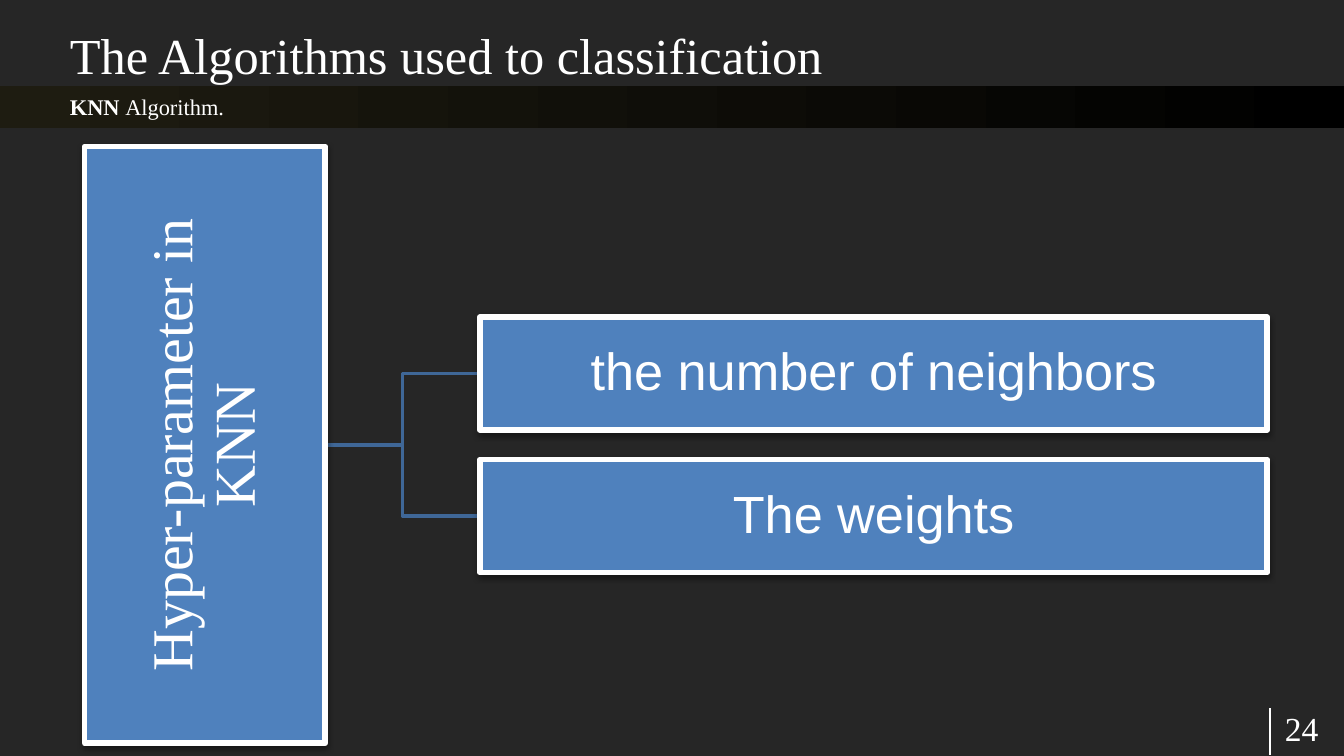
from dataclasses import dataclass

from lxml import etree
from pptx import Presentation
from pptx.dml.color import RGBColor
from pptx.enum.shapes import MSO_CONNECTOR as Connector, MSO_SHAPE as Shape
from pptx.enum.text import MSO_ANCHOR as Anchor, MSO_AUTO_SIZE as AutoSize, PP_ALIGN as Align
from pptx.oxml.ns import qn
from pptx.slide import Slide
from pptx.util import Inches, Pt


def color(value):
    return RGBColor.from_string(value)


@dataclass
class Deck:
    slide: Slide
    serif: str = "Times New Roman"
    sans: str = "Arial"
    background: str = "262626"
    light: str = "FFFFFF"
    box_fill: str = "4F81BD"
    branch: str = "3F6797"

    def paint_background(self):
        fill = self.slide.background.fill
        fill.solid()
        fill.fore_color.rgb = color(self.background)

    def style(self, paragraph, size, face, align=Align.LEFT):
        paragraph.alignment = align
        paragraph.font.size = Pt(size)
        paragraph.font.name = face
        paragraph.font.color.rgb = color(self.light)

    def frame(self, shape, anchor, side=0.09, edge=0.04):
        frame = shape.text_frame
        frame.word_wrap = True
        frame.auto_size = AutoSize.NONE
        frame.vertical_anchor = anchor
        frame.margin_left = frame.margin_right = Inches(side)
        frame.margin_top = frame.margin_bottom = Inches(edge)
        return frame

    def place(self, shape, left, top, width, height):
        shape.left, shape.top = Inches(left), Inches(top)
        shape.width, shape.height = Inches(width), Inches(height)

    def band(self, left, top, width, height, start, end):
        band = self.slide.shapes.add_shape(
            Shape.RECTANGLE, Inches(left), Inches(top), Inches(width), Inches(height))
        band.shadow.inherit = False
        band.line.fill.background()
        band.fill.gradient()
        band.fill.gradient_angle = 0
        for stop, position, tone in zip(band.fill.gradient_stops, (0, 1), (start, end)):
            stop.position = position
            stop.color.rgb = color(tone)
        self.slide.shapes._spTree.insert(2, band._element)

    def title(self, text, *area):
        title = self.slide.shapes.title
        self.place(title, *area)
        paragraph = self.frame(title, Anchor.BOTTOM).paragraphs[0]
        paragraph.text = text
        self.style(paragraph, 27, self.serif)

    def subtitle(self, strong, rest, *area):
        body = self.slide.placeholders[1]
        self.place(body, *area)
        paragraph = self.frame(body, Anchor.TOP).paragraphs[0]
        self.style(paragraph, 12, self.serif)
        paragraph.space_before = Pt(0)
        properties = paragraph._p.get_or_add_pPr()
        properties.set("marL", "0")
        properties.set("indent", "0")
        properties.insert_element_before(
            properties.makeelement(qn("a:buNone")), "a:tabLst", "a:defRPr", "a:extLst")
        for text, bold in ((strong, True), (rest, False)):
            run = paragraph.add_run()
            run.text = text
            run.font.bold = bold

    def label(self, text, size, left, top, width, height):
        label = self.slide.shapes.add_textbox(
            Inches(left), Inches(top), Inches(width), Inches(height))
        paragraph = self.frame(label, Anchor.MIDDLE).paragraphs[0]
        paragraph.text = text
        self.style(paragraph, size, self.serif)

    def line(self, kind, start, end, tone, weight):
        line = self.slide.shapes.add_connector(kind, *map(Inches, (*start, *end)))
        line.line.color.rgb = color(tone)
        line.line.width = Pt(weight)
        etree.SubElement(line._element.spPr, qn("a:effectLst"))

    def box(self, text, size, face, left, top, width, height, rotation=0):
        box = self.slide.shapes.add_shape(
            Shape.RECTANGLE, Inches(left), Inches(top), Inches(width), Inches(height))
        box.rotation = rotation
        box.fill.solid()
        box.fill.fore_color.rgb = color(self.box_fill)
        box.line.color.rgb = color(self.light)
        box.line.width = Pt(3)
        self.drop_shadow(box)
        paragraph = self.frame(box, Anchor.MIDDLE, 0.02, 0.02).paragraphs[0]
        paragraph.text = text
        paragraph.line_spacing = 0.9
        self.style(paragraph, size, face, Align.CENTER)

    def drop_shadow(self, shape):
        shape.shadow.inherit = False
        effects = shape._element.spPr.find(qn("a:effectLst"))
        shadow = etree.SubElement(
            effects, qn("a:outerShdw"), blurRad=str(Pt(3.1)), dist=str(Pt(1.6)),
            dir="5400000", rotWithShape="0")
        tone = etree.SubElement(shadow, qn("a:srgbClr"), val="000000")
        etree.SubElement(tone, qn("a:alpha"), val="38000")


def main():
    presentation = Presentation()
    presentation.slide_width = Inches(10)
    presentation.slide_height = Inches(10) * 9 // 16
    deck = Deck(presentation.slides.add_slide(presentation.slide_layouts[1]))

    deck.paint_background()
    deck.band(0, 0.64, 10, 0.31, "1E1C11", "000000")
    deck.title("The Algorithms used to classification", 0.43, 0, 9, 0.67)
    deck.subtitle("KNN ", "Algorithm.", 0.43, 0.65, 8.9, 0.31)
    deck.line(Connector.STRAIGHT, (9.45, 5.27), (9.45, 5.62), deck.light, 0.75)
    deck.label("24", 18, 9.47, 5.27, 0.57, 0.3)

    root_right, root_middle = 2.42, 3.31
    root_length, root_depth = 4.44, 1.79
    child_left, child_width, child_height = 3.57, 5.86, 0.84
    first_top, child_step = 2.36, 1.06
    parameters = ("the number of neighbors", "The weights")
    tops = [first_top + child_step * index for index in range(len(parameters))]

    for top in tops:
        deck.line(Connector.ELBOW, (root_right, root_middle),
                  (child_left, top + child_height / 2), deck.branch, 2)
    deck.box("Hyper-parameter in KNN", 31, deck.serif,
             root_right - (root_depth + root_length) / 2, root_middle - root_depth / 2,
             root_length, root_depth, 270)
    for parameter, top in zip(parameters, tops):
        deck.box(parameter, 28, deck.sans, child_left, top, child_width, child_height)

    presentation.save("out.pptx")


if __name__ == "__main__":
    main()
